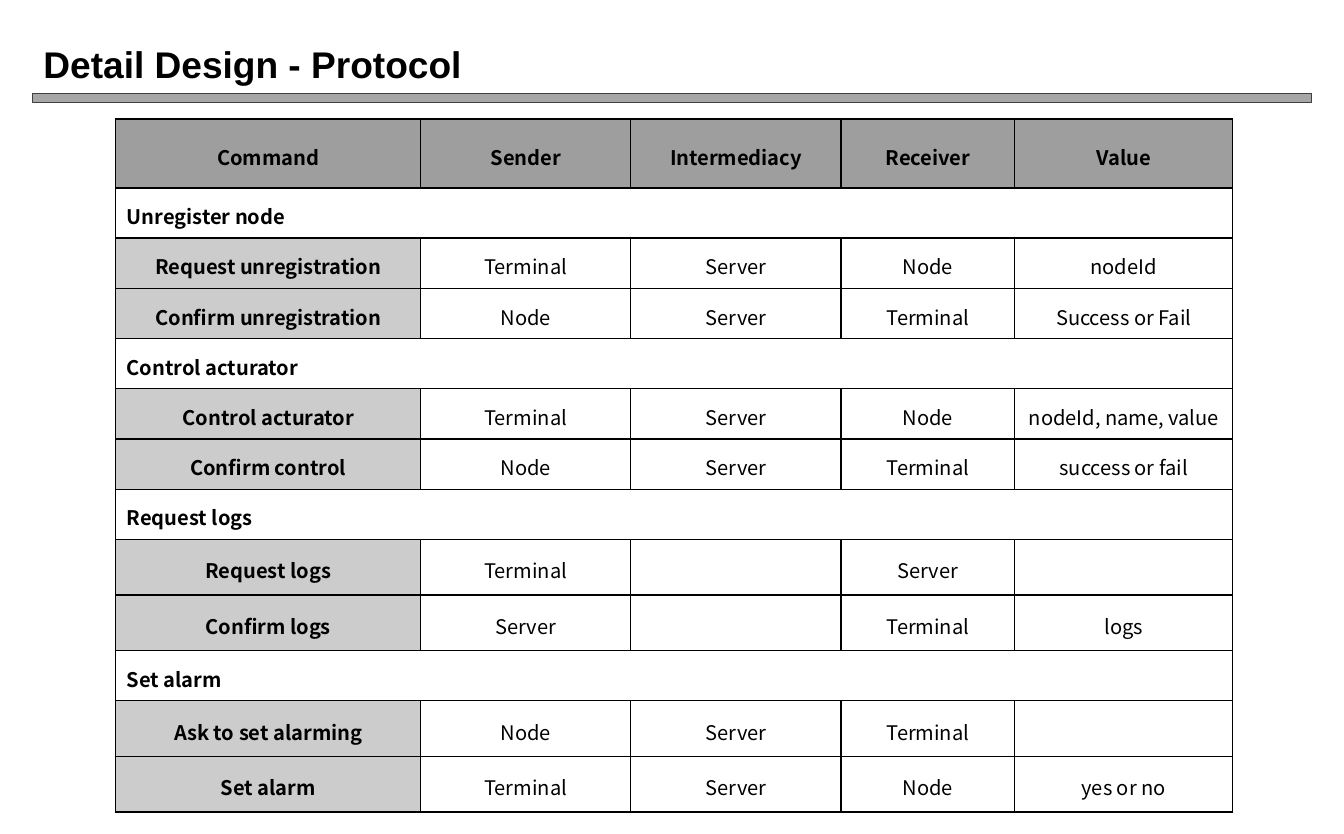
from lxml.etree import SubElement
from pptx import Presentation
from pptx.dml.color import RGBColor
from pptx.enum.shapes import MSO_SHAPE
from pptx.enum.text import MSO_ANCHOR, PP_ALIGN
from pptx.oxml.ns import qn
from pptx.util import Emu, Pt

PX = 9144  # 100 px to the inch
COLORS = {
    "text": "000000",
    "border": "000000",
    "bar": "A6A6A6",
    "bar_line": "404040",
    "header": "9E9E9E",
    "command": "CCCCCC",
    "plain": "FFFFFF",
}
TITLE_FONT = "Arial"
TABLE_FONT = "Noto Sans CJK KR"

COLUMN_WIDTHS = [274, 189, 189, 156, 196]
HEADER_HEIGHT = 62
HEADERS = ["Command", "Sender", "Intermediacy", "Receiver", "Value"]
SECTION_HEIGHT = 45
# Section title, height of its command rows, command rows
SECTIONS = [
    ("Unregister node", 45, [
        ["Request unregistration", "Terminal", "Server", "Node", "nodeId"],
        ["Confirm unregistration", "Node", "Server", "Terminal", "Success or Fail"],
    ]),
    ("Control acturator", 45, [
        ["Control acturator", "Terminal", "Server", "Node", "nodeId, name, value"],
        ["Confirm control", "Node", "Server", "Terminal", "success or fail"],
    ]),
    ("Request logs", 50, [
        ["Request logs", "Terminal", "", "Server", ""],
        ["Confirm logs", "Server", "", "Terminal", "logs"],
    ]),
    ("Set alarm", 50, [
        ["Ask to set alarming", "Node", "Server", "Terminal", ""],
        ["Set alarm", "Terminal", "Server", "Node", "yes or no"],
    ]),
]


def px(*lengths):
    return [Emu(length * PX) for length in lengths]


def color(name):
    return RGBColor.from_string(COLORS[name])


def format_runs(paragraph, font_name, size, bold):
    for run in paragraph.runs:
        run.font.name = font_name
        run.font.size = Pt(size)
        run.font.bold = bold
        run.font.color.rgb = color("text")


def add_title(slide, text):
    title = slide.shapes.title
    title.left, title.top, title.width, title.height = px(29, 30, 1150, 54)
    title.text_frame.text = text
    title.text_frame.vertical_anchor = MSO_ANCHOR.MIDDLE
    paragraph = title.text_frame.paragraphs[0]
    paragraph.alignment = PP_ALIGN.LEFT
    format_runs(paragraph, TITLE_FONT, 24, True)


def add_bar(slide):
    bar = slide.shapes.add_shape(MSO_SHAPE.FLOWCHART_PROCESS, *px(29, 84, 1150, 8))
    bar.shadow.inherit = False
    bar.fill.solid()
    bar.fill.fore_color.rgb = color("bar")
    bar.line.color.rgb = color("bar_line")
    bar.line.width = Pt(0.75)


def add_borders(cell):
    properties = cell._tc.get_or_add_tcPr()
    for side in ("a:lnL", "a:lnR", "a:lnT", "a:lnB"):
        line = SubElement(properties, qn(side), w=str(Pt(1)))
        fill = SubElement(line, qn("a:solidFill"))
        SubElement(fill, qn("a:srgbClr"), val=COLORS["border"])


def fill_cell(cell, text, fill, bold, alignment=PP_ALIGN.CENTER):
    add_borders(cell)
    cell.fill.solid()
    cell.fill.fore_color.rgb = color(fill)
    cell.vertical_anchor = MSO_ANCHOR.MIDDLE
    cell.margin_left, cell.margin_right, cell.margin_top, cell.margin_bottom = px(10, 10, 7, 7)
    if text:
        cell.text_frame.text = text
        paragraph = cell.text_frame.paragraphs[0]
        paragraph.alignment = alignment
        paragraph.line_spacing = 1.2
        format_runs(paragraph, TABLE_FONT, 13, bold)


def fill_section_row(cells, title):
    cells[0].merge(cells[-1])
    for cell, text in zip(cells, [title] + [""] * (len(cells) - 1)):
        fill_cell(cell, text, "plain", True, PP_ALIGN.LEFT)


def fill_command_row(cells, texts):
    for column, (cell, text) in enumerate(zip(cells, texts)):
        is_command = column == 0
        fill_cell(cell, text, "command" if is_command else "plain", is_command)


def add_protocol_table(slide):
    heights = [HEADER_HEIGHT]
    for _, row_height, commands in SECTIONS:
        heights += [SECTION_HEIGHT] + [row_height] * len(commands)
    frame = slide.shapes.add_table(
        len(heights), len(COLUMN_WIDTHS),
        *px(104, 107, sum(COLUMN_WIDTHS), sum(heights)))
    table = frame.table
    table.first_row = table.horz_banding = False
    for column, width in zip(table.columns, px(*COLUMN_WIDTHS)):
        column.width = width
    for row, height in zip(table.rows, px(*heights)):
        row.height = height

    # Header, then each section with its commands
    rows = iter([list(row.cells) for row in table.rows])
    for cell, text in zip(next(rows), HEADERS):
        fill_cell(cell, text, "header", True)
    for title, _, commands in SECTIONS:
        fill_section_row(next(rows), title)
        for texts in commands:
            fill_command_row(next(rows), texts)


def main():
    presentation = Presentation()
    presentation.slide_width, presentation.slide_height = px(1208, 750)
    slide = presentation.slides.add_slide(presentation.slide_layouts[5])
    add_bar(slide)
    add_title(slide, "Detail Design - Protocol")
    add_protocol_table(slide)
    presentation.save("out.pptx")


if __name__ == "__main__":
    main()
